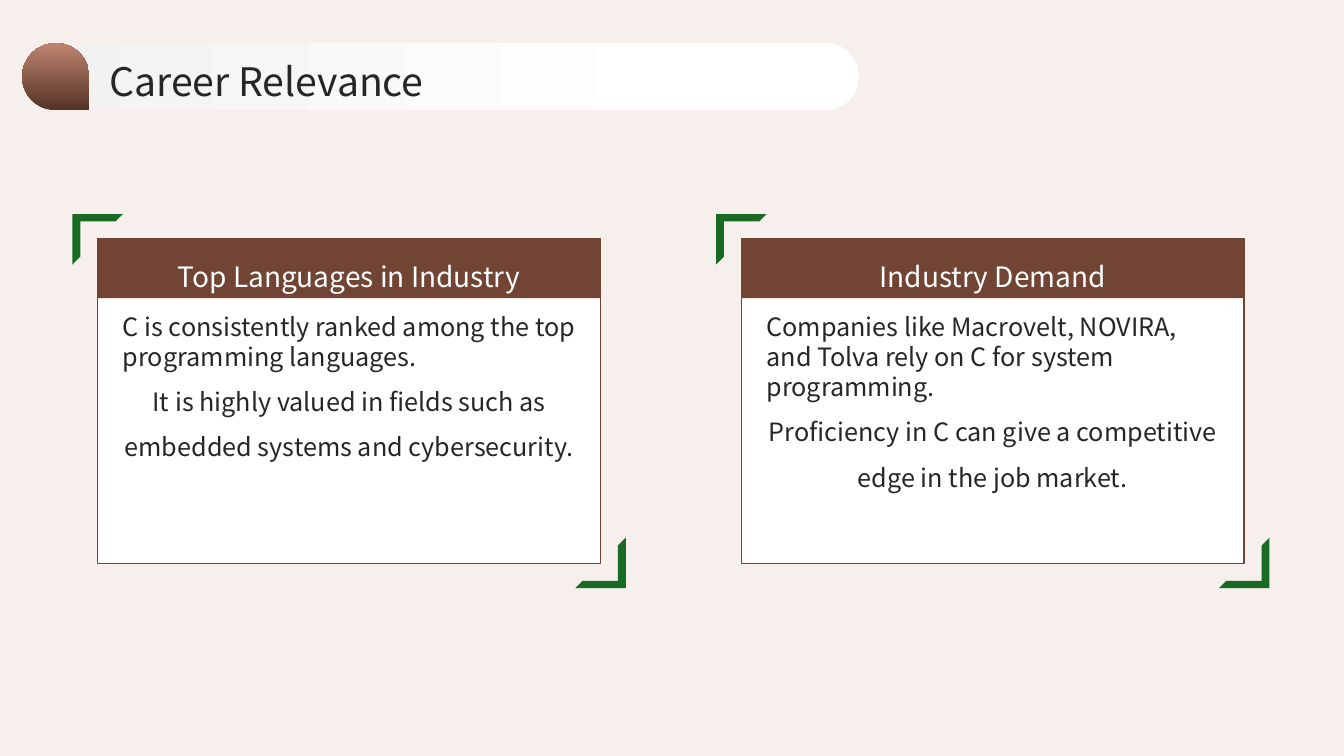
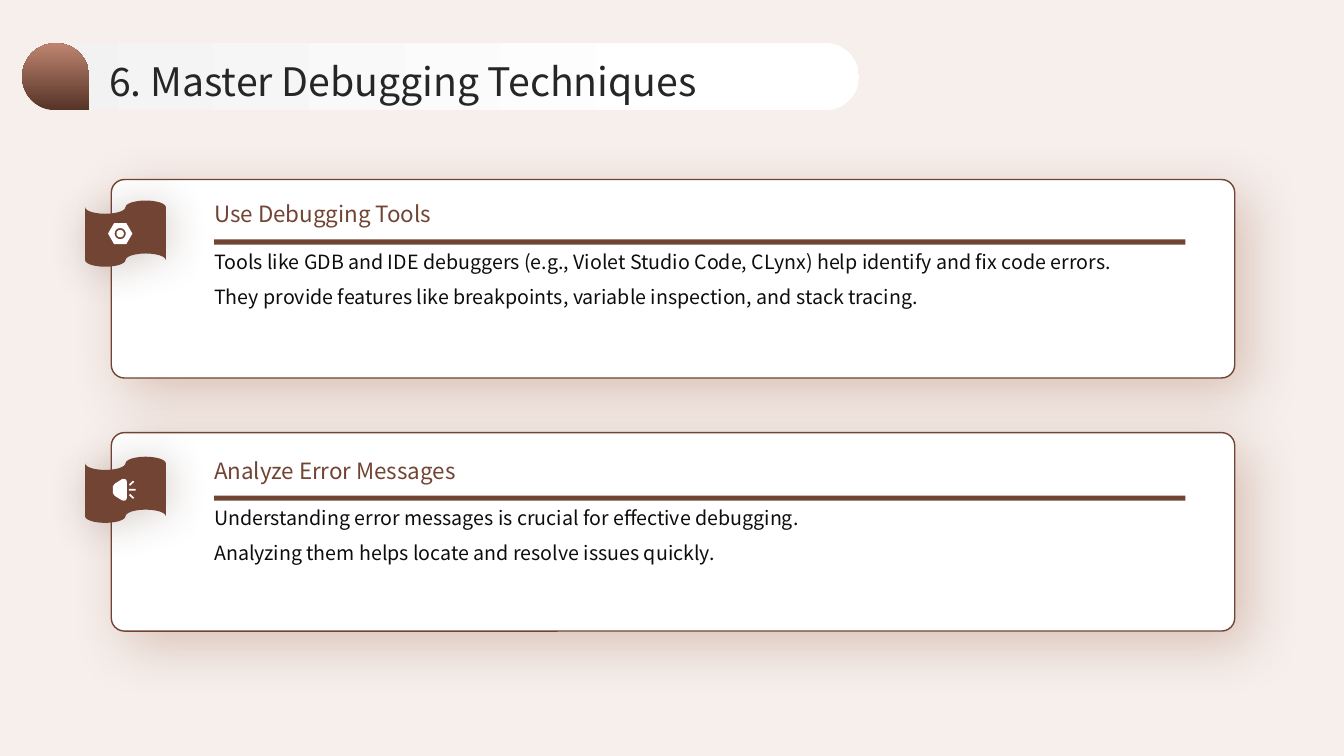
import math
from dataclasses import dataclass
from typing import Optional

import lxml.etree
import pptx
import pptx.dml.color
import pptx.enum.shapes
import pptx.enum.text
import pptx.oxml.ns
import pptx.util

PX = 9525
FONT = "Noto Sans CJK SC"
COLORS = {
    "page": "F6EFEC",
    "white": "FFFFFF",
    "brown": "714433",
    "dark_brown": "553326",
    "light_brown": "BE8570",
    "rust": "80350E",
    "green": "196B24",
    "gray": "F2F2F2",
    "title": "262626",
    "body": "0D0D0D",
}
KIND = pptx.enum.shapes.MSO_SHAPE
ALIGN = pptx.enum.text.PP_ALIGN
ANCHOR = pptx.enum.text.MSO_ANCHOR
qn = pptx.oxml.ns.qn
Contour = list[tuple[float, float]]


@dataclass(frozen=True)
class Box:
    x: int
    y: int
    w: int
    h: int

    def emu(self) -> tuple[int, int, int, int]:
        return self.x * PX, self.y * PX, self.w * PX, self.h * PX


@dataclass(frozen=True)
class Style:
    size: int
    color: str
    spacing: float = 1.0
    align: ALIGN = ALIGN.LEFT
    anchor: ANCHOR = ANCHOR.TOP


@dataclass(frozen=True)
class Shadow:
    color: str
    blur: int
    distance: int


@dataclass(frozen=True)
class Topic:
    heading: str
    lead: str
    detail: str


@dataclass(frozen=True)
class Row:
    topic: Topic
    panel_y: int
    text_y: int
    icon: list[Contour]
    icon_dx: int


TITLE = Style(28, "title", 1.1, anchor=ANCHOR.MIDDLE)
CARD_HEADING = Style(20, "white", 1.5, ALIGN.CENTER, ANCHOR.MIDDLE)
CARD_LEAD = Style(18, "title")
CARD_DETAIL = Style(18, "title", 1.5, ALIGN.CENTER)
ROW_HEADING = Style(16, "brown")
ROW_LEAD = Style(14, "body")
ROW_DETAIL = Style(14, "body", 1.5)
PANEL_SHADOW = Shadow("rust", 39, 14)
FLAG_SHADOW = Shadow("dark_brown", 30, 3)


def rgb(name: str) -> pptx.dml.color.RGBColor:
    return pptx.dml.color.RGBColor.from_string(COLORS[name])


def add_shape(s, kind: KIND, box: Box, fill: Optional[str] = None,
              line: Optional[str] = None, adj: tuple[float, ...] = ()):
    sp = s.shapes.add_shape(kind, *box.emu())
    for i, value in enumerate(adj):
        sp.adjustments[i] = value
    paint(sp, fill, line)
    return sp


def paint(sp, fill: Optional[str], line: Optional[str] = None) -> None:
    sp.shadow.inherit = False
    if fill:
        sp.fill.solid()
        sp.fill.fore_color.rgb = rgb(fill)
    if line:
        sp.line.color.rgb = rgb(line)
        sp.line.width = pptx.util.Pt(1)
    else:
        sp.line.fill.background()


def set_gradient(sp, angle: int, stops: list[tuple[float, str]]) -> None:
    sp.fill.gradient()
    sp.fill.gradient_angle = angle
    for stop, (position, color) in zip(sp.fill.gradient_stops, stops):
        stop.position = position
        stop.color.rgb = rgb(color)


def add_shadow(sp, shadow: Shadow) -> None:
    effects = sp.element.spPr.find(qn("a:effectLst"))
    outer = lxml.etree.SubElement(
        effects, qn("a:outerShdw"), blurRad=str(pptx.util.Pt(shadow.blur)),
        dist=str(pptx.util.Pt(shadow.distance)), dir="2700000",
        algn="tl", rotWithShape="0")
    color = lxml.etree.SubElement(outer, qn("a:srgbClr"), val=COLORS[shadow.color])
    lxml.etree.SubElement(color, qn("a:alpha"), val="23000")


def add_freeform(s, x: float, y: float, contours: list[Contour]) -> None:
    (first, *rest) = contours
    builder = s.shapes.build_freeform(*first[0], scale=PX / 10)
    builder.add_line_segments(first[1:], close=True)
    for contour in rest:
        builder.move_to(*contour[0])
        builder.add_line_segments(contour[1:], close=True)
    paint(builder.convert_to_shape(round(x * PX), round(y * PX)), "white")


def polygon(radius: int, sides: int) -> Contour:
    angles = (2 * math.pi * i / sides for i in range(sides))
    return [(radius * math.cos(a), radius * math.sin(a)) for a in angles]


def mirror(contour: Contour) -> Contour:
    return [(x, -y) for x, y in reversed(contour)]


def fill_placeholder(s, idx: int, box: Box, lines: list[tuple[str, Style]]) -> None:
    sp = s.placeholders[idx]
    s.shapes.element.append(sp.element)
    sp.left, sp.top, sp.width, sp.height = box.emu()
    tf = sp.text_frame
    tf.margin_left = tf.margin_top = tf.margin_right = tf.margin_bottom = 0
    tf.auto_size = pptx.enum.text.MSO_AUTO_SIZE.NONE
    tf.word_wrap = True
    tf.vertical_anchor = lines[0][1].anchor
    for i, (text, style) in enumerate(lines):
        p = tf.add_paragraph() if i else tf.paragraphs[0]
        pPr = p._p.get_or_add_pPr()
        pPr.set("marL", "0")
        pPr.set("indent", "0")
        lxml.etree.SubElement(pPr, qn("a:buNone"))
        p.alignment = style.align
        p.line_spacing = style.spacing
        p.space_before = p.space_after = pptx.util.Pt(0)
        r = p.add_run()
        r.text = text
        r.font.name = FONT
        r.font.size = pptx.util.Pt(style.size)
        r.font.bold = False
        r.font.color.rgb = rgb(style.color)


def add_slide(prs, title: str):
    s = prs.slides.add_slide(prs.slide_layouts.get_by_name("Comparison"))
    band = add_shape(s, KIND.ROUNDED_RECTANGLE, Box(21, 41, 797, 64), adj=(0.5,))
    set_gradient(band, 0, [(0, "gray"), (0.8, "white")])
    drop = add_shape(s, KIND.TEAR, Box(21, 41, 64, 64))
    drop.rotation = 180
    drop.element.spPr.get_or_add_xfrm().set("flipH", "1")
    set_gradient(drop, 270, [(0, "dark_brown"), (1, "light_brown")])
    fill_placeholder(s, 0, Box(104, 50, 1140, 49), [(title, TITLE)])
    return s


def add_card(s, i: int, topic: Topic) -> None:
    card = Box(93 + 613 * i, 227, 479, 310)
    corner, dx, dy = 48, 24, 23
    corners = [
        (card.x - dx, card.y - dy, 0),
        (card.x + card.w + dx - corner, card.y + card.h + dy - corner, 180),
    ]
    for x, y, rotation in corners:
        frame = add_shape(s, KIND.HALF_FRAME, Box(x, y, corner, corner),
                          "green", adj=(0.142, 0.157))
        frame.rotation = rotation
    add_shape(s, KIND.RECTANGLE, card, "white", "brown")
    add_shape(s, KIND.RECTANGLE, Box(card.x, card.y, card.w, 57), "brown")
    x, w = card.x + 24, card.w - 48
    fill_placeholder(s, 2 * i + 1, Box(x, card.y - 1, w, 58),
                     [(topic.heading, CARD_HEADING)])
    fill_placeholder(s, 2 * i + 2, Box(x, card.y + 69, w, 222),
                     [(topic.lead, CARD_LEAD), (topic.detail, CARD_DETAIL)])


def add_row(s, i: int, row: Row) -> None:
    panel = add_shape(s, KIND.ROUNDED_RECTANGLE, Box(106, row.panel_y, 1070, 189),
                      "white", "brown", (0.066,))
    add_shadow(panel, PANEL_SHADOW)
    flag = Box(81, row.text_y, 77, 63)
    add_shadow(add_shape(s, KIND.FLOWCHART_PUNCHED_TAPE, flag, "brown"), FLAG_SHADOW)
    add_freeform(s, flag.x + flag.w / 2 + row.icon_dx, flag.y + flag.h / 2, row.icon)
    x, y, w = 204, row.text_y, 925
    add_shape(s, KIND.RECTANGLE, Box(x, y + 37, w, 5), "brown")
    fill_placeholder(s, 2 * i + 1, Box(x, y, w, 29),
                     [(row.topic.heading, ROW_HEADING)])
    fill_placeholder(s, 2 * i + 2, Box(x, y + 47, w, 105),
                     [(row.topic.lead, ROW_LEAD), (row.topic.detail, ROW_DETAIL)])


HORN_EDGE = [(-120, -32), (-101, -58), (-34, -100), (-14, -104), (5, -98), (14, -78)]
HORN_RAY = [(34, -52), (72, -86), (84, -76), (44, -38)]
HORN = [
    HORN_EDGE + mirror(HORN_EDGE),
    HORN_RAY,
    mirror(HORN_RAY),
    [(34, -8), (96, -8), (96, 8), (34, 8)],
]
NUT = [polygon(116, 6), polygon(53, 36), polygon(35, 36)]

CARDS = [
    Topic("Top Languages in Industry",
          "C is consistently ranked among the top programming languages.",
          "It is highly valued in fields such as embedded systems and cybersecurity."),
    Topic("Industry Demand",
          "Companies like Macrovelt, NOVIRA, and Tolva rely on C for system programming.",
          "Proficiency in C can give a competitive edge in the job market."),
]
ROWS = [
    Row(Topic("Use Debugging Tools",
              "Tools like GDB and IDE debuggers (e.g., Violet Studio Code, CLynx) "
              "help identify and fix code errors.",
              "They provide features like breakpoints, variable inspection, "
              "and stack tracing."),
        171, 191, NUT, -5),
    Row(Topic("Analyze Error Messages",
              "Understanding error messages is crucial for effective debugging.",
              "Analyzing them helps locate and resolve issues quickly."),
        412, 435, HORN, 0),
]


def main() -> None:
    prs = pptx.Presentation()
    prs.slide_width, prs.slide_height = 1280 * PX, 720 * PX
    page = prs.slide_master.background.fill
    page.solid()
    page.fore_color.rgb = rgb("page")

    s = add_slide(prs, "Career Relevance")
    for i, topic in enumerate(CARDS):
        add_card(s, i, topic)

    s = add_slide(prs, "6. Master Debugging Techniques")
    for i, row in enumerate(ROWS):
        add_row(s, i, row)

    prs.save("out.pptx")


if __name__ == "__main__":
    main()
